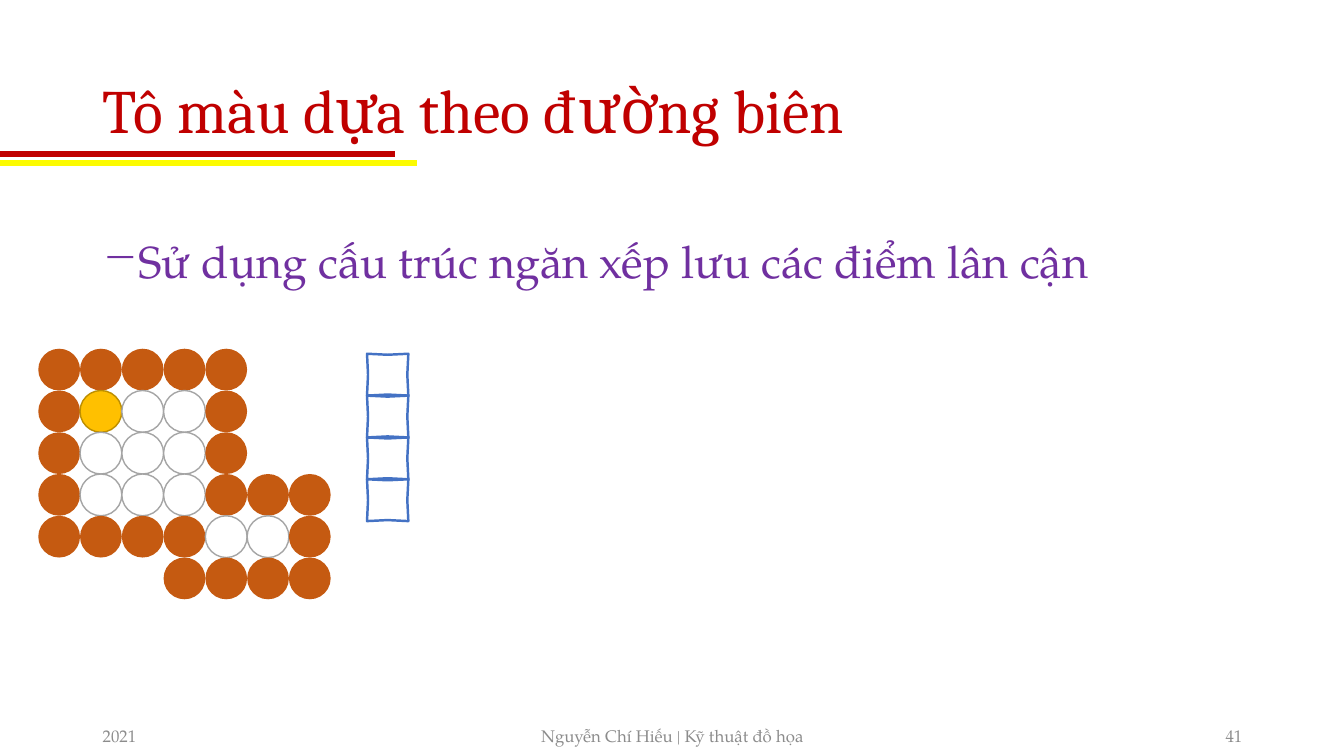
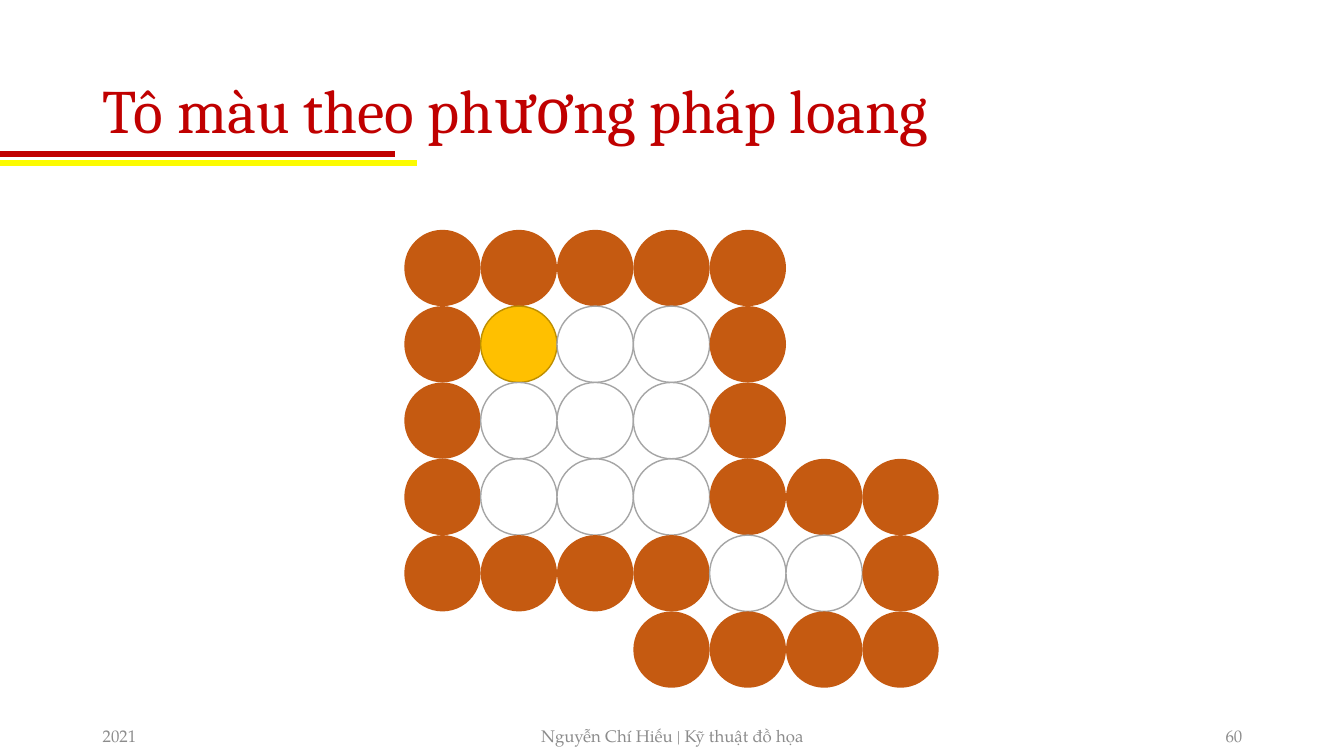
import pptx
import pptx.dml.color
import pptx.enum.shapes
import pptx.enum.text
import pptx.oxml
import pptx.oxml.ns
import pptx.util

Inches = pptx.util.Inches
Pt = pptx.util.Pt
ALIGN = pptx.enum.text.PP_ALIGN
ANCHOR = pptx.enum.text.MSO_ANCHOR

# Content
AUTHOR_LINE = "Nguyễn Chí Hiếu | Kỹ thuật đồ họa"
YEAR = "2021"
SLIDES = [
    {
        "title": "Tô màu dựa theo đường biên",
        "bullet": "Sử dụng cấu trúc ngăn xếp lưu các điểm lân cận",
        "number": "41",
        "region": (0.38, 3.46, 2.9),
        "stack": (3.64, 3.51, 0.41, 1.66),
    },
    {
        "title": "Tô màu theo phương pháp loang",
        "number": "60",
        "region": (4.01, 2.28, 5.3),
    },
]

# Pixel map: B boundary, S seed, o empty interior
REGION = [
    "BBBBB  ",
    "BSooB  ",
    "BoooB  ",
    "BoooBBB",
    "BBBBooB",
    "   BBBB",
]
PIXEL_STYLES = {
    "B": ("C55A11", None),
    "S": ("FFC000", "BD8E00"),
    "o": ("FFFFFF", "A5A5A5"),
}
STACK_CELLS = 4

# Shared style
TITLE_FONT = "Cambria"
BODY_FONT = "TeX Gyre Pagella"
RED, YELLOW, PURPLE, GREY = "C00000", "FCFB01", "7030A0", "8C8C8C"
WHITE, BLUE = "FFFFFF", "4472C4"
LEFT, CONTENT_WIDTH = 0.92, 11.5
RULES = [(4.14, 1.62, YELLOW), (3.92, 1.53, RED)]
FOOTER_TOP, FOOTER_HEIGHT = 7.1, 0.4


def color(hex_value):
    return pptx.dml.color.RGBColor.from_string(hex_value)


def add_text(slide, box, text, font, size, hex_value,
             align=ALIGN.LEFT, anchor=ANCHOR.MIDDLE):
    text_box = slide.shapes.add_textbox(*map(Inches, box))
    frame = text_box.text_frame
    frame.word_wrap = True
    frame.vertical_anchor = anchor
    paragraph = frame.paragraphs[0]
    paragraph.alignment = align
    run = paragraph.add_run()
    run.text = text
    run.font.name = font
    run.font.size = Pt(size)
    run.font.color.rgb = color(hex_value)
    return paragraph


def paint(shape, fill, line, width):
    shape.shadow.inherit = False
    shape.fill.solid()
    shape.fill.fore_color.rgb = color(fill)
    if line:
        shape.line.color.rgb = color(line)
        shape.line.width = Pt(width)
    else:
        shape.line.fill.background()


def add_frame(slide, title, number):
    """Rules, title and footer found on every slide."""
    for right, y, hex_value in RULES:
        rule = slide.shapes.add_connector(
            pptx.enum.shapes.MSO_CONNECTOR.STRAIGHT,
            0, Inches(y), Inches(right), Inches(y))
        rule.line.color.rgb = color(hex_value)
        rule.line.width = Pt(4.25)
        rule._element.spPr.append(pptx.oxml.parse_xml(
            f'<a:effectLst {pptx.oxml.ns.nsdecls("a")}/>'))

    heading = add_text(slide, (LEFT, 0.4, CONTENT_WIDTH, 1.45), title,
                       TITLE_FONT, 44, RED)
    heading.line_spacing = 0.9

    footers = [
        (LEFT, 3, YEAR, ALIGN.LEFT),
        (4.42, 4.5, AUTHOR_LINE, ALIGN.CENTER),
        (9.42, 3, number, ALIGN.RIGHT),
    ]
    for left, width, text, align in footers:
        add_text(slide, (left, FOOTER_TOP, width, FOOTER_HEIGHT), text,
                 BODY_FONT, 12, GREY, align)


def add_bullet(slide, text):
    paragraph = add_text(slide, (LEFT, 2, CONTENT_WIDTH, 5.1), text,
                         BODY_FONT, 32, PURPLE, anchor=ANCHOR.TOP)
    paragraph.line_spacing = 1.5
    paragraph.space_before = Pt(4)
    paragraph.space_after = Pt(2)
    properties = paragraph._p.get_or_add_pPr()
    properties.set("marL", str(Inches(0.25)))
    properties.set("indent", str(-Inches(0.25)))
    namespace = pptx.oxml.ns.nsdecls("a")
    for xml in (
        f'<a:buClr {namespace}><a:srgbClr val="{PURPLE}"/></a:buClr>',
        f'<a:buChar {namespace} char="−"/>',
    ):
        properties.append(pptx.oxml.parse_xml(xml))


def add_region(slide, left, top, width):
    """Round pixels on a square grid, one per mark in the map."""
    pitch = width / len(REGION[0])
    for row, marks in enumerate(REGION):
        for column, mark in enumerate(marks):
            if mark not in PIXEL_STYLES:
                continue
            pixel = slide.shapes.add_shape(
                pptx.enum.shapes.MSO_SHAPE.OVAL,
                Inches(left + column * pitch), Inches(top + row * pitch),
                Inches(pitch), Inches(pitch))
            paint(pixel, *PIXEL_STYLES[mark], 1)


def add_stack(slide, left, top, width, height):
    """Stack cells with slightly bent, hand-drawn sides."""
    cell_height = height / STACK_CELLS
    bend = 0.01
    outline = [
        (width / 2, bend), (width, 0),
        (width - bend, cell_height / 2), (width, cell_height),
        (width / 2, cell_height - bend), (0, cell_height),
        (bend, cell_height / 2),
    ]
    for index in range(STACK_CELLS):
        cell_top = top + index * cell_height
        builder = slide.shapes.build_freeform(Inches(left), Inches(cell_top))
        builder.add_line_segments(
            [(Inches(left + x), Inches(cell_top + y)) for x, y in outline],
            close=True)
        paint(builder.convert_to_shape(), WHITE, BLUE, 1.75)


def main():
    presentation = pptx.Presentation()
    presentation.slide_width = Inches(13.33)
    presentation.slide_height = Inches(7.5)
    for content in SLIDES:
        slide = presentation.slides.add_slide(presentation.slide_layouts[6])
        add_frame(slide, content["title"], content["number"])
        if "bullet" in content:
            add_bullet(slide, content["bullet"])
        add_region(slide, *content["region"])
        if "stack" in content:
            add_stack(slide, *content["stack"])
    presentation.save("out.pptx")


if __name__ == "__main__":
    main()
